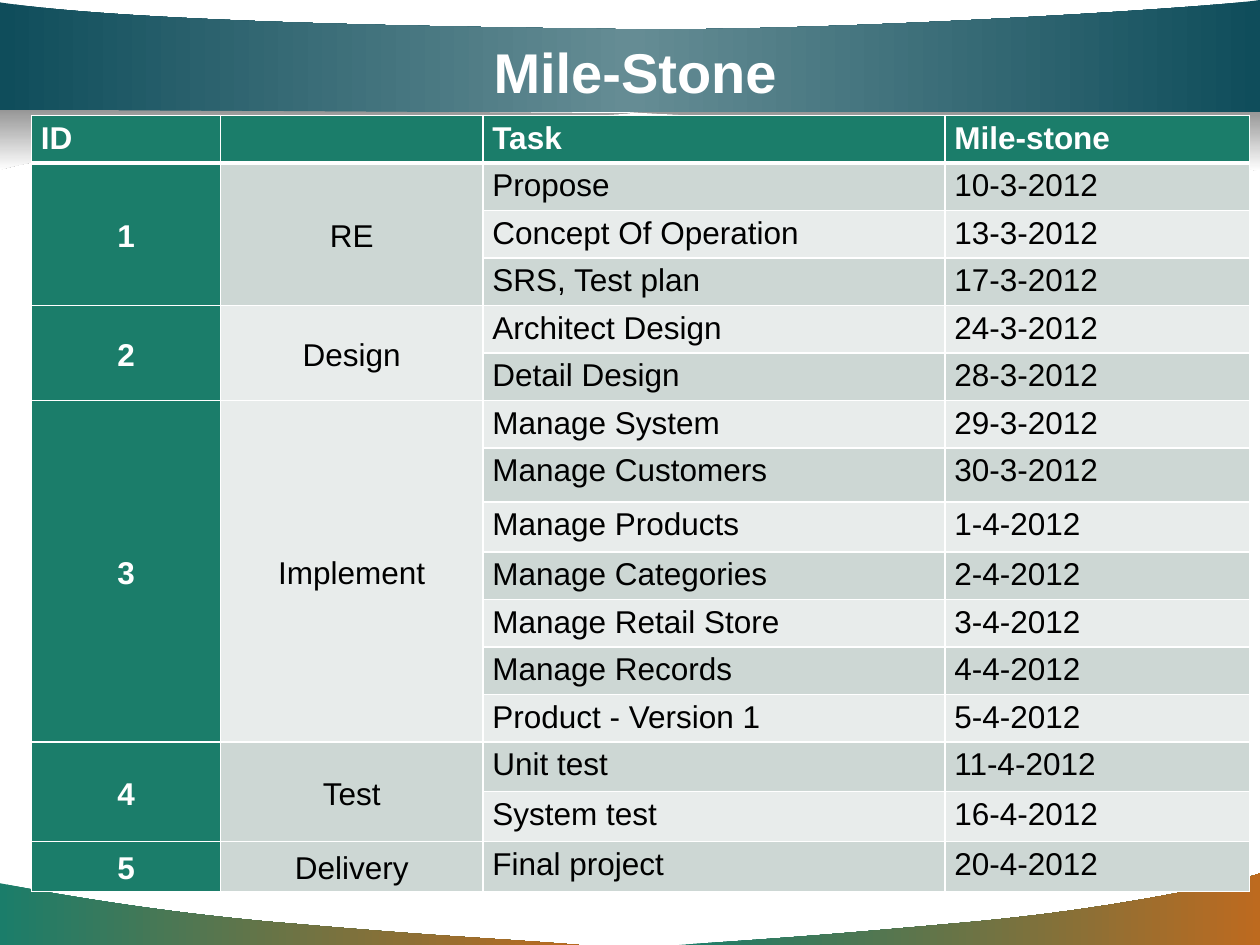
from lxml.etree import SubElement
from pptx import Presentation
from pptx.dml.color import RGBColor as Rgb
from pptx.enum.text import MSO_ANCHOR as Anchor, PP_ALIGN as Align
from pptx.oxml.ns import qn
from pptx.util import Pt

COLORS = {
    "white": "FFFFFF", "black": "000000", "green": "1B7D6A", "orange": "BD6A1F",
    "navy": "0F4D5B", "steel": "658C94", "shade": "969696",
    "band_dark": "CDD7D4", "band_light": "E8ECEB",
}
FOOTER = ("green", "orange")
SHADOW = ("shade", "white")
WAVES = [
    ([(331, 540), (276.5, 535.7), (257.8, 535.7), (167, 527.8),
      (76.3, 520.6), (0.7, 504.7), (0, 504.7)], [(0, 540)], FOOTER, 0),
    ([(388, 540), (442, 536.4), (465, 535), (553.7, 527),
      (642, 519), (712.8, 502.6), (720, 499)], [(720, 540)], FOOTER, 0),
    ([(360, 64), (420.5, 67.7), (446.4, 65.5), (545.8, 72.7),
      (645.8, 80.6), (718.6, 97.9), (720, 97.9)], [(720, 63.4)], SHADOW, 90),
    ([(720, 0), (694, 4.3), (470, 18.7), (350.6, 16.6),
      (231, 15.1), (72.7, 12.2), (0, 1.4)], [(0, 64), (720, 64)],
     ("navy", "steel", "navy"), 0),
    ([(360, 64.8), (299.5, 68.4), (279.4, 65.5), (179.3, 72.7),
      (79.2, 80.6), (7.9, 93.6), (0, 97.2)], [(0, 62.6)], SHADOW, 90),
]
HEADINGS = ["ID", "", "Task", "Mile-stone"]
PHASES = [
    ("RE", [("Propose", "10-3-2012"), ("Concept Of Operation", "13-3-2012"),
            ("SRS, Test plan", "17-3-2012")]),
    ("Design", [("Architect Design", "24-3-2012"), ("Detail Design", "28-3-2012")]),
    ("Implement", [("Manage System", "29-3-2012"), ("Manage Customers", "30-3-2012"),
                   ("Manage Products", "1-4-2012"), ("Manage Categories", "2-4-2012"),
                   ("Manage Retail Store", "3-4-2012"), ("Manage Records", "4-4-2012"),
                   ("Product - Version 1", "5-4-2012")]),
    ("Test", [("Unit test", "11-4-2012"), ("System test", "16-4-2012")]),
    ("Delivery", [("Final project", "20-4-2012")]),
]
COLUMN_WIDTHS = [108, 150, 264, 174]
ROW_HEIGHT = 27.15
TALL_ROWS = {7: 31, 8: 28.5, 13: 28.5, 14: 28.5, 15: 28.5}


class SlidePainter:
    font = "Arial"
    text_size = 18
    title_size = 32

    def __init__(self, slide):
        self.slide = slide

    def style_text(self, para, size, color, bold):
        for span in para.runs:
            span.font.name = self.font
            span.font.size = Pt(size)
            span.font.bold = bold
            span.font.color.rgb = Rgb.from_string(COLORS[color])

    def wave(self, nodes, corners, colors, angle):
        builder = self.slide.shapes.build_freeform(Pt(nodes[0][0]), Pt(nodes[0][1]))
        builder.add_line_segments(
            [(Pt(x), Pt(y)) for x, y in nodes[1:] + corners], close=True)
        shape = builder.convert_to_shape()
        shape.shadow.inherit = False
        shape.line.fill.background()
        self.bend(shape, len(nodes) - 1)
        self.gradient(shape, colors, angle)
        master = self.slide.slide_layout.slide_master
        master.shapes._spTree.append(shape._element)

    def bend(self, shape, count):
        lines = list(shape._element.spPr.iter(qn("a:lnTo")))[:count]
        for first in range(0, count, 3):
            start, *others = lines[first:first + 3]
            start.tag = qn("a:cubicBezTo")
            for line in others:
                start.append(line[0])
                line.getparent().remove(line)

    def gradient(self, shape, colors, angle):
        shape.fill.gradient()
        shape.fill.gradient_angle = -angle % 360
        stops = shape._element.spPr.find(".//" + qn("a:gsLst"))
        for stop in list(stops):
            stops.remove(stop)
        for index, color in enumerate(colors):
            position = 100000 * index // (len(colors) - 1)
            stop = SubElement(stops, qn("a:gs"), pos=str(position))
            SubElement(stop, qn("a:srgbClr"), val=COLORS[color])

    def title(self, text, left, top, width, height):
        box = self.slide.shapes.title
        box.left, box.top, box.width, box.height = map(Pt, (left, top, width, height))
        frame = box.text_frame
        frame.text = text
        frame.vertical_anchor = Anchor.MIDDLE
        para = frame.paragraphs[0]
        para.alignment = Align.CENTER
        self.style_text(para, self.title_size, "white", True)

    def borders(self, cell, top=1, bottom=1):
        properties = cell._tc.get_or_add_tcPr()
        for side, width in (("L", 1), ("R", 1), ("T", top), ("B", bottom)):
            line = SubElement(properties, qn("a:ln" + side), w=str(Pt(width)))
            fill = SubElement(line, qn("a:solidFill"))
            SubElement(fill, qn("a:srgbClr"), val=COLORS["white"])

    def cell(self, cell, text, fill, strong=False, align=Align.JUSTIFY):
        cell.fill.solid()
        cell.fill.fore_color.rgb = Rgb.from_string(COLORS[fill])
        cell.margin_left = cell.margin_right = Pt(5.4)
        cell.margin_top = cell.margin_bottom = 0
        cell.vertical_anchor = Anchor.MIDDLE if align == Align.CENTER else Anchor.TOP
        cell.text_frame.text = text
        para = cell.text_frame.paragraphs[0]
        para.alignment = align
        para.line_spacing = 1.15
        para.space_after = Pt(10)
        self.style_text(para, self.text_size, "white" if strong else "black", strong)

    def schedule(self, left, top):
        count = 1 + sum(len(tasks) for _, tasks in PHASES)
        heights = [TALL_ROWS.get(row, ROW_HEIGHT) for row in range(count)]
        table = self.slide.shapes.add_table(
            count, len(COLUMN_WIDTHS), Pt(left), Pt(top),
            Pt(sum(COLUMN_WIDTHS)), Pt(sum(heights))).table
        for column, width in zip(table.columns, COLUMN_WIDTHS):
            column.width = Pt(width)
        for index, height in enumerate(heights):
            table.rows[index].height = Pt(height)
            for column in range(len(COLUMN_WIDTHS)):
                self.borders(table.cell(index, column),
                             top=3 if index == 1 else 1, bottom=3 if index == 0 else 1)
        for column, heading in enumerate(HEADINGS):
            self.cell(table.cell(0, column), heading, "green", strong=True)
        row = 1
        for number, (phase, tasks) in enumerate(PHASES, 1):
            first = row
            date_align = Align.LEFT if phase == "Design" else Align.JUSTIFY
            for task, date in tasks:
                band = "band_dark" if row % 2 else "band_light"
                self.cell(table.cell(row, 2), task, band)
                self.cell(table.cell(row, 3), date, band, align=date_align)
                labels = (str(number), phase) if row == first else ("", "")
                for column, fill in enumerate(("green", band)):
                    self.cell(table.cell(row, column), labels[column], fill,
                              strong=column == 0, align=Align.CENTER)
                row += 1
            if len(tasks) > 1:
                for column in (0, 1):
                    table.cell(first, column).merge(table.cell(row - 1, column))


def main():
    deck = Presentation()
    deck.slide_width, deck.slide_height = Pt(720), Pt(540)
    painter = SlidePainter(deck.slides.add_slide(deck.slide_layouts[5]))
    for wave in WAVES:
        painter.wave(*wave)
    painter.title("Mile-Stone", 54, 18, 618, 45)
    painter.schedule(18, 66)
    deck.save("out.pptx")


if __name__ == "__main__":
    main()
